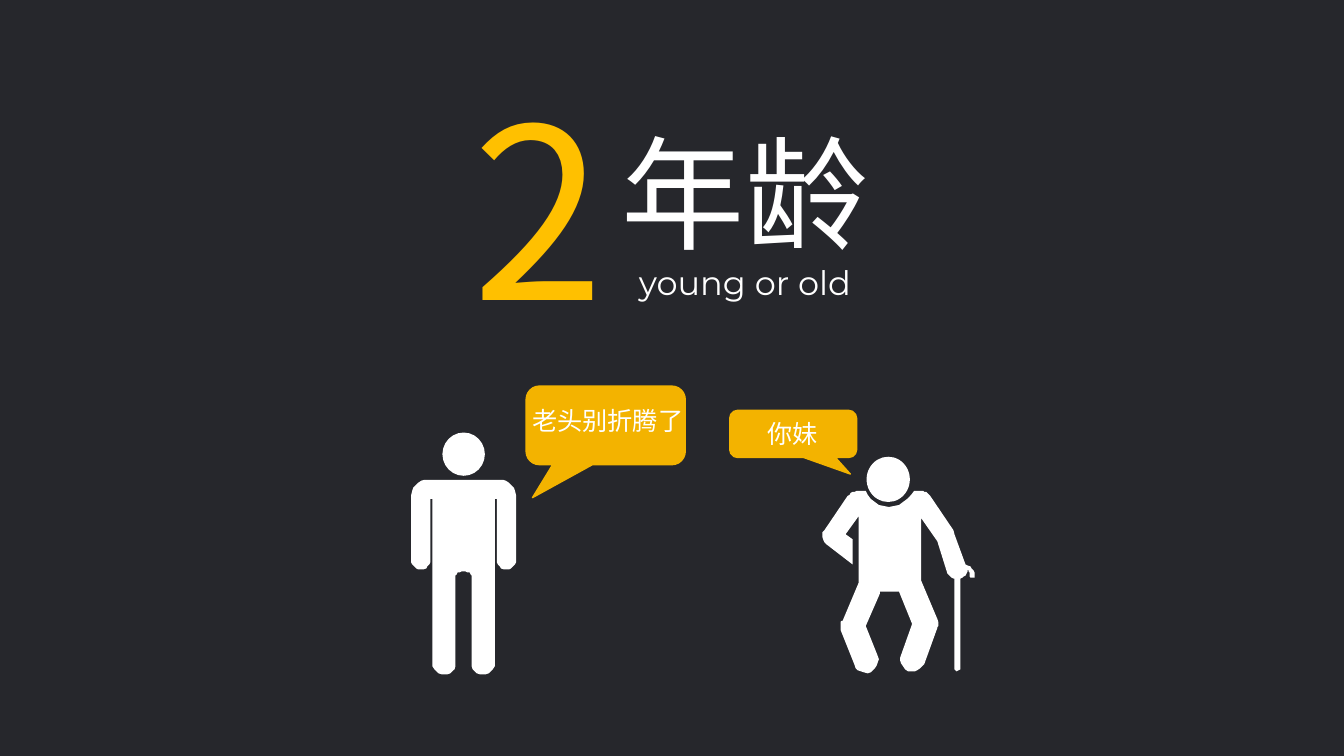
from dataclasses import dataclass

from lxml.etree import SubElement
from pptx import Presentation
from pptx.dml.color import RGBColor
from pptx.enum.shapes import MSO_SHAPE
from pptx.enum.text import MSO_ANCHOR, MSO_AUTO_SIZE, PP_ALIGN
from pptx.oxml.ns import qn
from pptx.util import Cm, Pt

DARK, WHITE, GOLD, AMBER = "26272C", "FFFFFF", "FFC000", "F3B300"
HAN, LATIN = "Noto Sans CJK SC", "Montserrat"
UNIT = Cm(0.0254)  # body outlines use hundredths of an inch

Box = tuple[float, float, float, float]
Point = tuple[float, float]


@dataclass
class Speech:
    text: str
    bubble: Box
    label: Box
    tip: Point


@dataclass
class Person:
    head: Box
    body: list[Point]


def color(code: str) -> RGBColor:
    return RGBColor.from_string(code)


def place(shape, box: Box) -> None:
    shape.left, shape.top, shape.width, shape.height = map(Cm, box)


def write(shape, text: str, *, size: float, font: str = HAN,
          fill: str = WHITE, align=PP_ALIGN.LEFT) -> None:
    frame = shape.text_frame
    frame.word_wrap = False
    frame.auto_size = MSO_AUTO_SIZE.SHAPE_TO_FIT_TEXT
    frame.vertical_anchor = MSO_ANCHOR.TOP
    para = frame.paragraphs[0]
    para.alignment = align
    run = para.add_run()
    run.text = text
    run.font.size = Pt(size)
    run.font.name = font
    run.font.color.rgb = color(fill)
    SubElement(run.font._element, qn("a:ea"), typeface=font)


def label(slide, box: Box, text: str, **style) -> None:
    write(slide.shapes.add_textbox(*map(Cm, box)), text, **style)


def paint(shape, code: str, line: bool = False) -> None:
    shape.shadow.inherit = False
    shape.fill.solid()
    shape.fill.fore_color.rgb = color(code)
    if line:
        shape.line.color.rgb = color(code)
        shape.line.width = Pt(1)
    else:
        shape.line.fill.background()


def trace(steps: list[tuple], parts: int = 6) -> list[Point]:
    """Turn points and cubic curves (six numbers) into plain points."""
    points: list[Point] = []
    for step in steps:
        if len(step) == 2:
            points.append(step)
            continue
        ends = [points[-1], step[:2], step[2:4], step[4:]]
        for i in range(1, parts + 1):
            t = i / parts
            u = 1 - t
            mix = (u ** 3, 3 * u * u * t, 3 * u * t * t, t ** 3)
            points.append((sum(m * p[0] for m, p in zip(mix, ends)),
                           sum(m * p[1] for m, p in zip(mix, ends))))
    return points


def mirror(points: list[Point], axis: float) -> list[Point]:
    return points + [(2 * axis - x, y) for x, y in reversed(points)]


def draw_person(slide, who: Person) -> None:
    head = slide.shapes.add_shape(MSO_SHAPE.OVAL, *map(Cm, who.head))
    paint(head, WHITE)
    start, *rest = who.body
    pen = slide.shapes.build_freeform(*start, scale=UNIT)
    pen.add_line_segments(rest, close=True)
    paint(pen.convert_to_shape(), WHITE)


def draw_speech(slide, talk: Speech) -> None:
    bubble = slide.shapes.add_shape(
        MSO_SHAPE.ROUNDED_RECTANGULAR_CALLOUT, *map(Cm, talk.bubble))
    for i, value in enumerate((*talk.tip, 0.17)):
        bubble.adjustments[i] = value
    paint(bubble, AMBER, line=True)
    label(slide, talk.label, talk.text, size=18, align=PP_ALIGN.CENTER)


# Left half of the upright body, from neck to crotch
HALF = [
    (460, 476), (421, 476), (416, 478, 408, 482, 408, 491),
    (408, 555), (408, 561, 412, 565, 418, 565),
    (423, 565, 427, 561, 427, 555), (427, 495), (429, 495),
    (429, 658), (429, 665, 435, 669, 441, 669),
    (448, 669, 452, 665, 452, 658), (452, 573),
    (452, 569, 456, 567, 460, 567),
]

# Stooped body with a cane
STOOP = [
    # Right shoulder, collar and left arm
    (958, 560), (947, 530), (946, 526), (923, 492),
    (921, 489, 917, 487, 914, 487), (907, 487),
    (901, 496, 892, 503, 882, 503), (871, 503, 862, 496, 859, 487),
    (852, 487), (848, 487, 844, 489, 841, 492), (818, 526),
    (814, 530, 816, 537, 820, 540), (846, 560), (846, 535),
    (839, 530), (852, 512),
    # Legs
    (852, 578), (836, 616), (834, 616, 834, 617, 834, 619), (834, 625),
    (848, 660), (850, 666, 857, 669, 864, 667),
    (869, 664, 873, 657, 871, 651), (859, 621), (873, 589), (873, 587),
    (892, 587), (905, 619), (894, 650), (892, 655, 894, 662, 901, 666),
    (908, 667, 914, 664, 917, 659), (930, 623),
    (931, 621, 931, 619, 931, 617), (930, 614), (914, 576),
    # Right arm and cane
    (914, 514), (930, 537), (940, 569), (942, 571, 944, 574, 947, 574),
    (947, 664), (949, 666), (953, 664), (953, 574),
    (956, 573, 960, 569, 960, 565), (962, 567, 962, 569, 962, 571),
    (962, 573, 963, 573, 965, 573), (967, 573, 967, 573, 967, 571),
    (967, 565, 963, 562, 958, 560),
]

PEOPLE = [
    Person((21.84, 11.51, 1.09, 1.14), trace(STOOP)),
    Person((11.15, 10.9, 1.07, 1.09), mirror(trace(HALF), 460)),
]
TALKS = [
    Speech("你妹", (18.39, 10.34, 3.2, 1.19),
           (19.08, 10.41, 1.8, 1.02), (0.45, 0.85)),
    Speech("老头别折腾了", (13.26, 9.73, 4.01, 1.98),
           (13.13, 10.08, 4.37, 1.02), (-0.46, 0.92)),
]


def main() -> None:
    deck = Presentation()
    deck.slide_width, deck.slide_height = Cm(33.87), Cm(19.05)
    slide = deck.slides.add_slide(deck.slide_layouts.get_by_name("Title Only"))
    slide.background.fill.solid()
    slide.background.fill.fore_color.rgb = color(DARK)

    # Heading
    label(slide, (11.66, 1.45, 3.53, 7.52), "2", size=170, fill=GOLD)
    title = slide.shapes.title
    place(title, (15.42, 2.84, 6.78, 4.01))
    write(title, "年龄", size=88)
    label(slide, (15.85, 6.48, 6.3, 1.27), "young or old",
          size=24, font=LATIN)

    # Figures and their words
    for who in PEOPLE:
        draw_person(slide, who)
    for talk in TALKS:
        draw_speech(slide, talk)

    deck.save("out.pptx")


if __name__ == "__main__":
    main()
